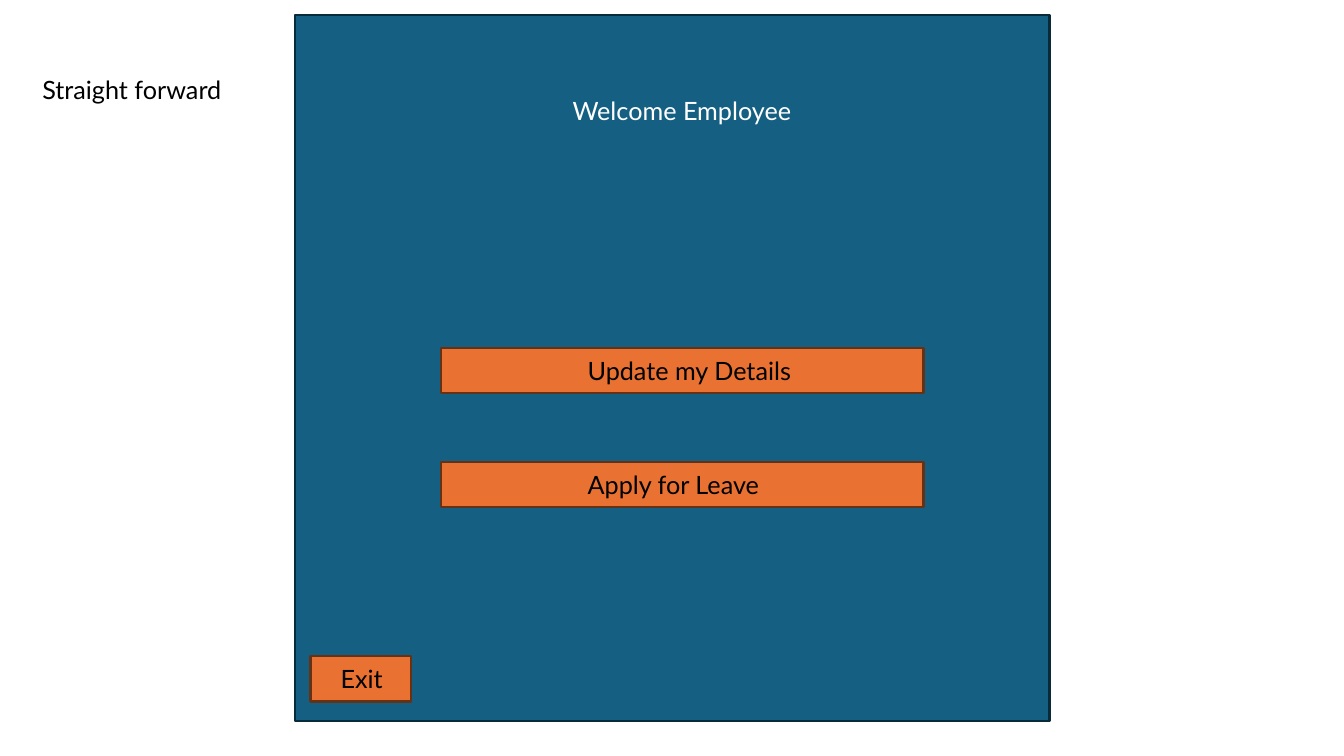
from pptx import Presentation
from pptx.dml.color import RGBColor
from pptx.enum.shapes import MSO_SHAPE as Preset
from pptx.enum.text import MSO_ANCHOR as Anchor, MSO_AUTO_SIZE as AutoSize, PP_ALIGN as Align
from pptx.util import Inches, Pt

THEME = {
    "font": "Lato", "size": 18, "line": 1.5,
    "dark": "000000", "light": "FFFFFF",
    "panel": ("156082", "092A39"),
    "button": ("E97132", "663216"),
}

TITLE = ("Straight forward", 0.32, 0.69, 2.2)
WELCOME = ("Welcome Employee", 5.58, 0.9, 3.11)
PANEL = (2.93, 0.15, 7.48, 7)
MENU = [("Update my Details", 2.8), ("Apply for Leave", 2.18)]
EXIT = ("Exit", 0.8)

MENU_LEFT, MENU_TOP, MENU_WIDTH, MENU_STEP = 4.37, 3.45, 4.79, 1.13
EXIT_LEFT, EXIT_TOP, EXIT_WIDTH = 3.08, 6.51, 1
MENU_INDENT, EXIT_INDENT = 1.36, 0.2
BUTTON_HEIGHT, TEXT_HEIGHT = 0.45, 0.4


def assign(target, values):
    for name, value in values.items():
        setattr(target, name, value)


def place(shape, left, top, width, height):
    assign(shape, {"left": Inches(left), "top": Inches(top),
                   "width": Inches(width), "height": Inches(height)})


def write(shape, text, color):
    frame = shape.text_frame
    frame.text = text
    assign(frame, {"word_wrap": True, "auto_size": AutoSize.SHAPE_TO_FIT_TEXT,
                   "vertical_anchor": Anchor.TOP})
    paragraph = frame.paragraphs[0]
    paragraph.alignment = Align.LEFT
    font = paragraph.runs[0].font
    assign(font, {"name": THEME["font"], "size": Pt(THEME["size"])})
    font.color.rgb = RGBColor.from_string(THEME[color])


def add_box(slide, style, left, top, width, height):
    fill, line = THEME[style]
    shape = slide.shapes.add_shape(
        Preset.RECTANGLE, *map(Inches, (left, top, width, height)))
    shape.shadow.inherit = False
    shape.fill.solid()
    shape.fill.fore_color.rgb = RGBColor.from_string(fill)
    shape.line.color.rgb = RGBColor.from_string(line)
    shape.line.width = Pt(THEME["line"])


def add_text(slide, text, left, top, width, color):
    shape = slide.shapes.add_textbox(
        *map(Inches, (left, top, width, TEXT_HEIGHT)))
    write(shape, text, color)


def add_button(slide, label, left, top, width, indent):
    text, text_width = label
    add_box(slide, "button", left, top, width, BUTTON_HEIGHT)
    text_top = top + (BUTTON_HEIGHT - TEXT_HEIGHT) / 2
    add_text(slide, text, left + indent, text_top, text_width, "dark")


def main():
    presentation = Presentation()
    assign(presentation, {"slide_width": Inches(13.33), "slide_height": Inches(7.5)})
    slide = presentation.slides.add_slide(presentation.slide_layouts[5])

    text, left, top, width = TITLE
    place(slide.shapes.title, left, top, width, TEXT_HEIGHT)
    write(slide.shapes.title, text, "dark")

    add_box(slide, "panel", *PANEL)
    add_text(slide, *WELCOME, "light")
    for row, label in enumerate(MENU):
        add_button(slide, label, MENU_LEFT, MENU_TOP + row * MENU_STEP,
                   MENU_WIDTH, MENU_INDENT)
    add_button(slide, EXIT, EXIT_LEFT, EXIT_TOP, EXIT_WIDTH, EXIT_INDENT)

    presentation.save("out.pptx")


if __name__ == "__main__":
    main()
